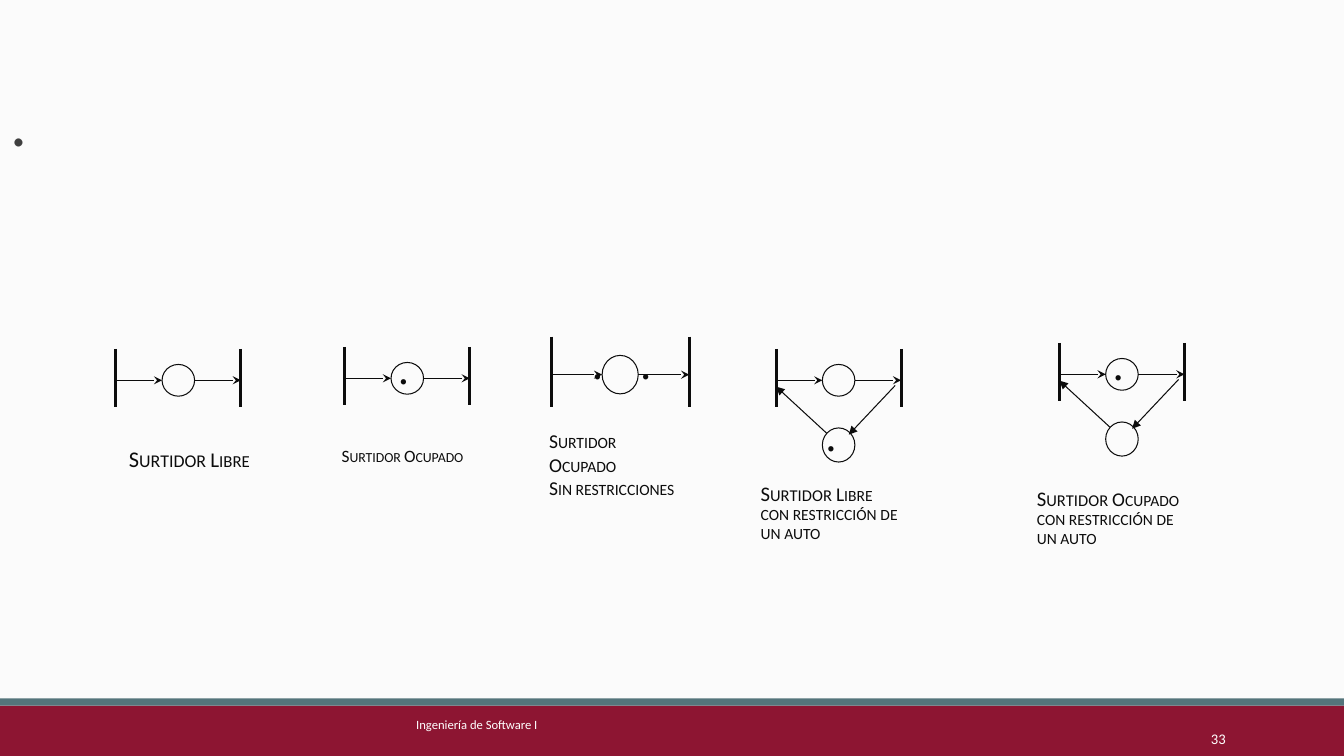
from dataclasses import dataclass
from typing import Optional

import lxml.etree
import pptx
import pptx.dml.color
import pptx.enum.shapes
import pptx.enum.text
import pptx.oxml.ns
import pptx.util

Cm = pptx.util.Cm
Pt = pptx.util.Pt
RGBColor = pptx.dml.color.RGBColor
Anchor = pptx.enum.text.MSO_ANCHOR
Align = pptx.enum.text.PP_ALIGN
ShapeKind = pptx.enum.shapes.MSO_SHAPE

FONT = "Calibri"
PAPER = RGBColor(0xFB, 0xFB, 0xFB)
CRIMSON = RGBColor(0x8D, 0x15, 0x32)
SLATE = RGBColor(0x54, 0x74, 0x7B)
GRAY = RGBColor(0x3F, 0x3F, 0x3F)
INK = RGBColor(0x0C, 0x0C, 0x0C)
WHITE = RGBColor(0xFF, 0xFF, 0xFF)

Run = tuple[str, float]
Paragraphs = list[list[Run]]


@dataclass
class TextStyle:
    color: RGBColor = INK
    anchor: Anchor = Anchor.MIDDLE
    align: Align = Align.LEFT
    spacing: float = 1.0
    bold: bool = False
    small_caps: bool = True


@dataclass
class Label:
    left: float
    top: float
    width: float
    height: float
    paragraphs: Paragraphs
    style: TextStyle


@dataclass
class Token:
    center_x: float
    center_y: float
    width: float
    height: float
    runs: list[Run]
    spacing: float = 1.0


@dataclass
class PumpNet:
    left: float
    top: float
    width: float = 3.15
    height: float = 1.47
    place_width: float = 0.82
    place_height: float = 0.8
    token: Optional[Token] = None
    restricted: bool = False


BUSY_TOKEN = Token(1.87, 0.13, 0.8, 2.54, [(".", 32)])
NETS = [
    PumpNet(2.92, 8.79),
    PumpNet(8.69, 8.74, token=BUSY_TOKEN),
    PumpNet(13.89, 8.48, 3.48, 1.78, 0.91, 0.97,
            Token(2.08, 0.17, 0.97, 2.82, [("..", 32)], 0.9)),
    PumpNet(19.56, 8.79, restricted=True,
            token=Token(1.77, 1.75, 1.09, 1.78, [(" ", 24), (".", 32)])),
    PumpNet(26.7, 8.64, token=BUSY_TOKEN, restricted=True),
]

PLAIN = TextStyle()
TIGHT = TextStyle(spacing=0.8)
RESTRICTION = [("con restricción de un auto", 13.9)]
LABELS = [
    Label(3, 11.05, 3.78, 1.02, [[("Surtidor ", 16), ("Libre", 15)]], PLAIN),
    Label(8.36, 11.02, 3.78, 1.02, [[("Surtidor Ocupado", 12.4)]], TIGHT),
    Label(13.59, 11.02, 3.78, 1.37,
          [[("Surtidor Ocupado", 14)], [("Sin restricciones", 14)]], PLAIN),
    Label(18.92, 12.04, 4.22, 1.85,
          [[("Surtidor ", 14.8), ("Libre", 13.9)], RESTRICTION], TIGHT),
    Label(25.88, 12.17, 4.22, 1.85,
          [[("Surtidor ", 14.8), ("Ocupado", 13.9)], RESTRICTION], TIGHT),
    Label(10.24, 17.93, 13.39, 1.02, [[("Ingeniería de Software I", 9)]],
          TextStyle(WHITE, Anchor.TOP, small_caps=False)),
    Label(27.51, 17.93, 3.63, 1.02, [[("33", 10.5)]],
          TextStyle(WHITE, Anchor.BOTTOM, Align.RIGHT, small_caps=False)),
]


def write_text(frame, paragraphs: Paragraphs, style: TextStyle) -> None:
    frame.word_wrap = True
    frame.auto_size = pptx.enum.text.MSO_AUTO_SIZE.NONE
    frame.vertical_anchor = style.anchor
    for index, runs in enumerate(paragraphs):
        paragraph = frame.add_paragraph() if index else frame.paragraphs[0]
        paragraph.alignment = style.align
        paragraph.line_spacing = style.spacing
        paragraph.font.name = FONT
        paragraph.font.bold = style.bold
        paragraph.font.color.rgb = style.color
        same_size = len({size for _, size in runs}) == 1
        if same_size:
            paragraph.font.size = Pt(runs[0][1])
        for text, size in runs:
            run = paragraph.add_run()
            run.text = text
            if not same_size:
                run.font.size = Pt(size)
            if style.small_caps:
                run._r.get_or_add_rPr().set("cap", "small")


def add_label(shapes, label: Label):
    box = shapes.add_textbox(
        Cm(label.left), Cm(label.top), Cm(label.width), Cm(label.height))
    write_text(box.text_frame, label.paragraphs, label.style)
    return box


def add_band(shapes, top: float, height: float, color: RGBColor) -> None:
    band = shapes.add_shape(
        ShapeKind.RECTANGLE, 0, Cm(top), Cm(33.87), Cm(height))
    band.shadow.inherit = False
    band.fill.solid()
    band.fill.fore_color.rgb = color
    band.line.fill.background()


def add_place(shapes, center_x: float, center_y: float,
              width: float, height: float) -> None:
    place = shapes.add_shape(
        ShapeKind.OVAL, Cm(center_x - width / 2), Cm(center_y - height / 2),
        Cm(width), Cm(height))
    place.shadow.inherit = False
    place.fill.background()
    place.line.color.rgb = INK
    place.line.width = Pt(0.75)


def add_line(shapes, start: tuple[float, float], end: tuple[float, float],
             weight: float = 0.75, head: Optional[str] = None) -> None:
    line = shapes.add_connector(
        pptx.enum.shapes.MSO_CONNECTOR.STRAIGHT,
        Cm(start[0]), Cm(start[1]), Cm(end[0]), Cm(end[1]))
    line.line.color.rgb = INK
    line.line.width = Pt(weight)
    qualified = pptx.oxml.ns.qn
    if head:
        outline = line.line._get_or_add_ln()
        lxml.etree.SubElement(outline, qualified("a:tailEnd"), type=head)
    lxml.etree.SubElement(line._element.spPr, qualified("a:effectLst"))


def add_net(slide, net: PumpNet) -> None:
    shapes = slide.shapes.add_group_shape().shapes
    axis = net.top + 0.54 * net.height
    middle = net.left + net.width / 2
    right = net.left + net.width
    radius = net.place_width / 2
    add_place(shapes, middle, axis, net.place_width, net.place_height)
    for bar in (net.left, right):
        add_line(shapes, (bar, net.top), (bar, net.top + net.height), 2)
    add_line(shapes, (net.left, axis), (middle - radius, axis), head="stealth")
    add_line(shapes, (middle + radius, axis), (right, axis), head="stealth")
    if net.restricted:
        add_place(shapes, middle, axis + 1.63, 0.82, 0.86)
        add_line(shapes, (net.left + 3, axis + 0.13),
                 (net.left + 1.83, axis + 1.37), head="triangle")
        add_line(shapes, (net.left + 1.27, axis + 1.33),
                 (net.left, axis + 0.16), head="triangle")
    if net.token:
        token = net.token
        box = add_label(shapes, Label(
            net.left + token.center_x - token.width / 2,
            axis + token.center_y - token.height / 2,
            token.width, token.height, [token.runs],
            TextStyle(spacing=token.spacing, bold=True)))
        box.rotation = 90


def main() -> None:
    presentation = pptx.Presentation()
    presentation.slide_width = Cm(33.87)
    presentation.slide_height = Cm(19.05)
    slide = presentation.slides.add_slide(presentation.slide_layouts[5])
    slide.background.fill.solid()
    slide.background.fill.fore_color.rgb = PAPER
    add_band(slide.shapes, 17.78, 1.27, CRIMSON)
    add_band(slide.shapes, 17.6, 0.18, SLATE)
    title = slide.shapes.title
    title.left, title.top = Cm(0), Cm(1.4)
    title.width, title.height = Cm(30.02), Cm(3.53)
    write_text(title.text_frame, [[(".", 48)]],
               TextStyle(GRAY, spacing=0.85, small_caps=False))
    for net in NETS:
        add_net(slide, net)
    for label in LABELS:
        add_label(slide.shapes, label)
    presentation.save("out.pptx")


if __name__ == "__main__":
    main()
